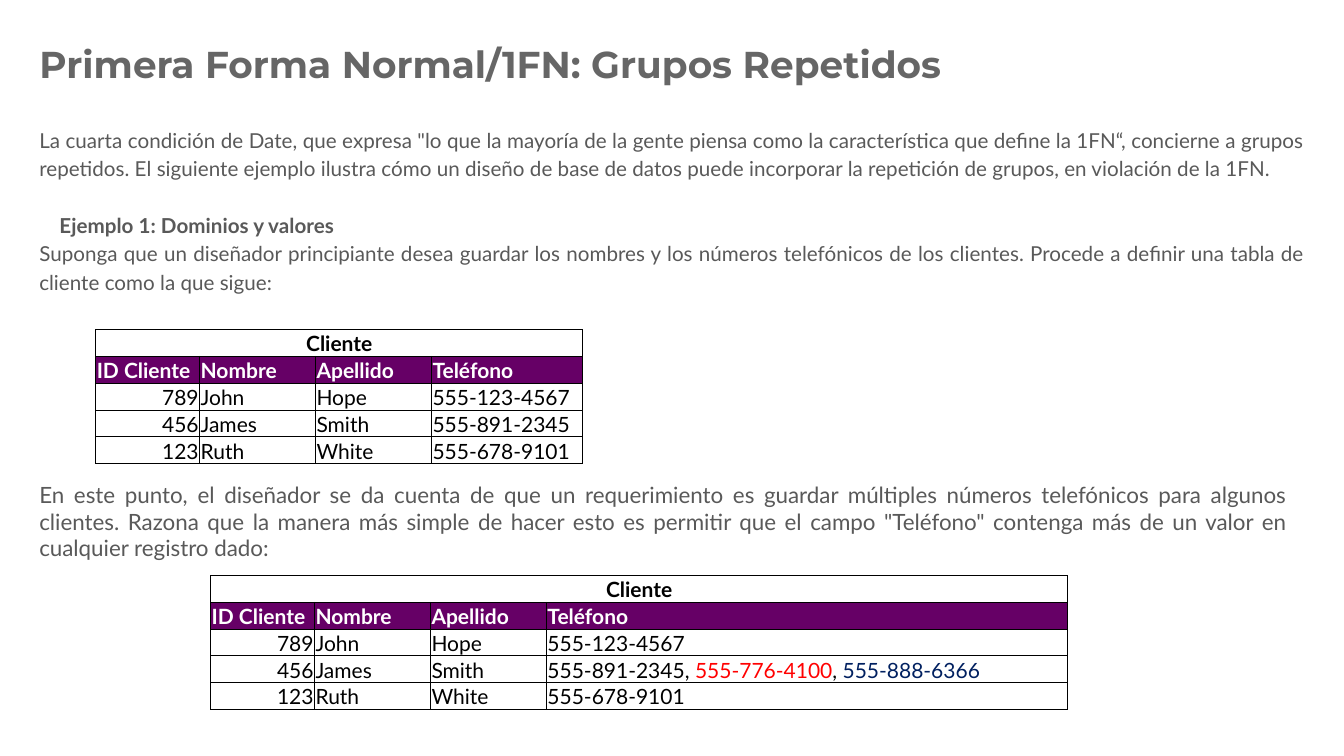
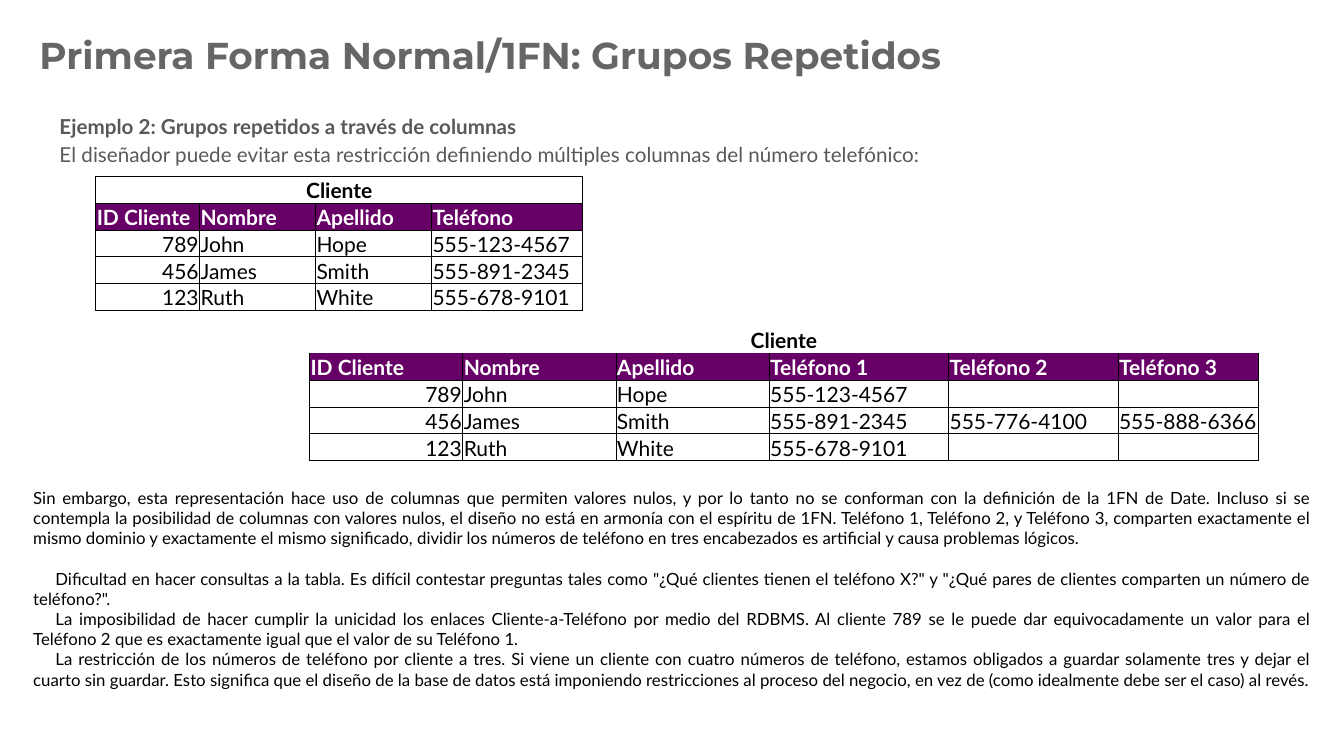
"""Builds two slides on first normal form and repeated groups."""
from dataclasses import dataclass

from lxml.etree import SubElement
from pptx import Presentation
from pptx.dml.color import RGBColor
from pptx.enum.shapes import MSO_SHAPE
from pptx.enum.text import MSO_ANCHOR, MSO_AUTO_SIZE, PP_ALIGN
from pptx.oxml.ns import qn
from pptx.util import Inches, Pt


@dataclass(frozen=True)
class Theme:
    """Colours, fonts and type sizes of the deck."""
    title_color: str = "666666"
    body_color: str = "595959"
    black: str = "000000"
    white: str = "FFFFFF"
    header_fill: str = "660066"
    red: str = "FF0000"
    navy: str = "002060"
    title_font: str = "Montserrat"
    body_font: str = "Lato"
    title_size: float = 26.7
    body_size: float = 14.7
    comment_size: float = 16
    table_size: float = 15
    note_size: float = 12
    border_width: float = 0.75


T = Theme()
TITLE = "Primera Forma Normal/1FN: Grupos Repetidos"
COLUMNS = ["ID Cliente", "Nombre", "Apellido", "Teléfono"]
CLIENTS = [["789", "John", "Hope", "555-123-4567"],
           ["456", "James", "Smith", "555-891-2345"],
           ["123", "Ruth", "White", "555-678-9101"]]
BASE_WIDTHS = [1.03, 1.15, 1.15]
ROW_HEIGHT = 0.266
ITEM_INDENT = 0.2


def write_text(tf, text, size=T.body_size, color=T.body_color, font=T.body_font,
               bold=False, align=PP_ALIGN.LEFT, spacing=1.0, before=0,
               margin=0, first_line=0):
    """Add one paragraph; text is a string or a list of (string, colour)."""
    fresh = len(tf.paragraphs) == 1 and not tf.paragraphs[0].runs
    p = tf.paragraphs[0] if fresh else tf.add_paragraph()
    p.alignment, p.line_spacing = align, spacing
    p.space_before, p.space_after = Pt(before), Pt(0)
    pPr = p._p.get_or_add_pPr()
    pPr.set("marL", str(Inches(margin)))
    pPr.set("indent", str(Inches(first_line)))
    if not text:
        SubElement(p._p, qn("a:endParaRPr"), sz=str(int(size * 100)))
        return
    for part, part_color in [(text, color)] if isinstance(text, str) else text:
        r = p.add_run()
        r.text = part
        r.font.name, r.font.size, r.font.bold = font, Pt(size), bold
        r.font.color.rgb = RGBColor.from_string(part_color)


def set_frame(tf, inset_x, inset_y, anchor=MSO_ANCHOR.TOP):
    """Set the wrapping, insets and anchor of a text frame."""
    tf.word_wrap, tf.auto_size = True, MSO_AUTO_SIZE.NONE
    tf.margin_left = tf.margin_right = Inches(inset_x)
    tf.margin_top = tf.margin_bottom = Inches(inset_y)
    tf.vertical_anchor = anchor


def add_title_slide(prs, top):
    """Add a title-only slide with its formatted title."""
    s = prs.slides.add_slide(prs.slide_layouts[5])
    sp = s.shapes.title
    sp.left, sp.top = Inches(0.26), Inches(top)
    sp.width, sp.height = Inches(12.81), Inches(0.6)
    set_frame(sp.text_frame, 0.13, 0.13, MSO_ANCHOR.MIDDLE)
    write_text(sp.text_frame, TITLE, size=T.title_size, color=T.title_color,
               font=T.title_font, bold=True)
    return s


def add_text(s, left, top, width, height, inset_y=0.13):
    """Add an empty text box and return its frame."""
    sp = s.shapes.add_textbox(Inches(left), Inches(top), Inches(width), Inches(height))
    set_frame(sp.text_frame, 0.13, inset_y)
    return sp.text_frame


def add_panel(s, left, top, width, height):
    """Add a white rectangle and return its text frame."""
    sp = s.shapes.add_shape(MSO_SHAPE.RECTANGLE, Inches(left), Inches(top),
                            Inches(width), Inches(height))
    sp.shadow.inherit = False
    sp.fill.solid()
    sp.fill.fore_color.rgb = RGBColor.from_string(T.white)
    sp.line.fill.background()
    set_frame(sp.text_frame, 0.13, 0.07)
    return sp.text_frame


def set_borders(cell, sides):
    """Draw the named sides of a cell and hide the others."""
    tcPr = cell._tc.get_or_add_tcPr()
    for side in "LRTB":
        ln = SubElement(tcPr, qn(f"a:ln{side}"), w=str(Pt(T.border_width)))
        if side in sides:
            fill = SubElement(ln, qn("a:solidFill"))
            SubElement(fill, qn("a:srgbClr"), val=T.black)
        else:
            SubElement(ln, qn("a:noFill"))


def format_cell(cell, text, row, col, sides):
    """Fill, border and write one cell according to its row and column."""
    set_borders(cell, sides)
    cell.margin_left = cell.margin_right = cell.margin_top = Inches(0.01)
    cell.margin_bottom = 0
    cell.vertical_anchor = MSO_ANCHOR.BOTTOM
    if row < 2:
        cell.fill.solid()
        cell.fill.fore_color.rgb = RGBColor.from_string((T.white, T.header_fill)[row])
    else:
        cell.fill.background()
    align = PP_ALIGN.LEFT
    if row == 0:
        align = PP_ALIGN.CENTER
    elif row > 1 and col == 0:
        align = PP_ALIGN.RIGHT
    write_text(cell.text_frame, text, size=T.table_size, bold=row < 2, align=align,
               color=T.white if row == 1 else T.black)


def add_client_table(s, left, top, widths, columns=COLUMNS, clients=CLIENTS,
                     boxed_title=True):
    """Add a client table with a merged title row and a header row."""
    rows = [["Cliente"] + [""] * (len(columns) - 1), columns, *clients]
    frame = s.shapes.add_table(len(rows), len(columns), Inches(left), Inches(top),
                               Inches(sum(widths)), Inches(ROW_HEIGHT * len(rows)))
    table = frame.table
    table.first_row = table.horz_banding = False
    for col, width in zip(table.columns, widths):
        col.width = Inches(width)
    open_sides = {0: "", 1: "LRB"}
    for i, values in enumerate(rows):
        table.rows[i].height = Inches(ROW_HEIGHT)
        sides = "LRTB" if boxed_title else open_sides.get(i, "LRTB")
        for j, value in enumerate(values):
            format_cell(table.cell(i, j), value, i, j, sides)
    table.cell(0, 0).merge(table.cell(0, len(columns) - 1))


def build_domains(prs):
    """Build the slide on domains and values."""
    s = add_title_slide(prs, 0.33)
    tf = add_text(s, 0.26, 1.1, 12.81, 2.18)
    write_text(tf, 'La cuarta condición de Date, que expresa "lo que la mayoría de la gente '
               "piensa como la característica que define la 1FN“, concierne a grupos "
               "repetidos. El siguiente ejemplo ilustra cómo un diseño de base de datos puede "
               "incorporar la repetición de grupos, en violación de la 1FN.",
               align=PP_ALIGN.JUSTIFY, spacing=1.15)
    write_text(tf, "Ejemplo 1: Dominios y valores", bold=True, spacing=1.15,
               before=20.3, margin=ITEM_INDENT)
    write_text(tf, "Suponga que un diseñador principiante desea guardar los nombres y los "
               "números telefónicos de los clientes. Procede a definir una tabla de cliente "
               "como la que sigue:", align=PP_ALIGN.JUSTIFY, spacing=1.15)
    add_client_table(s, 0.95, 3.27, BASE_WIDTHS + [1.5])
    tf = add_text(s, 0.26, 4.7, 12.64, 0.94, inset_y=0.07)
    write_text(tf, "En este punto, el diseñador se da cuenta de que un requerimiento es "
               "guardar múltiples números telefónicos para algunos clientes. Razona que la "
               "manera más simple de hacer esto es permitir que el campo \"Teléfono\" "
               "contenga más de un valor en cualquier registro dado:",
               size=T.comment_size, align=PP_ALIGN.JUSTIFY)
    phones = [("555-891-2345, ", T.black), ("555-776-4100", T.red),
              (", ", T.black), ("555-888-6366", T.navy)]
    john, james, ruth = CLIENTS
    add_client_table(s, 2.09, 5.71, BASE_WIDTHS + [5.17],
                     clients=[john, james[:3] + [phones], ruth])


def build_columns(prs):
    """Build the slide on groups repeated across columns."""
    s = add_title_slide(prs, 0.24)
    tf = add_text(s, 0.26, 0.96, 12.81, 0.94)
    write_text(tf, "Ejemplo 2: Grupos repetidos a través de columnas", bold=True,
               spacing=1.15, margin=ITEM_INDENT)
    write_text(tf, "El diseñador puede evitar esta restricción definiendo múltiples columnas "
               "del número telefónico:", align=PP_ALIGN.JUSTIFY, spacing=1.15,
               margin=ITEM_INDENT)
    add_client_table(s, 0.95, 1.75, BASE_WIDTHS + [1.5])
    extra = [["", ""], ["555-776-4100", "555-888-6366"], ["", ""]]
    add_client_table(s, 3.07, 3.24, [1.52] * 3 + [1.78, 1.68, 1.39],
                     columns=COLUMNS[:3] + [f"Teléfono {n}" for n in (1, 2, 3)],
                     clients=[c + e for c, e in zip(CLIENTS, extra)], boxed_title=False)
    tf = add_panel(s, 0.2, 4.77, 12.94, 2.56)
    note = dict(size=T.note_size, color=T.black, align=PP_ALIGN.JUSTIFY)
    write_text(tf, "Sin embargo, esta representación hace uso de columnas que permiten valores "
               "nulos, y por lo tanto no se conforman con la definición de la 1FN de Date. "
               "Incluso si se contempla la posibilidad de columnas con valores nulos, el "
               "diseño no está en armonía con el espíritu de 1FN. Teléfono 1, Teléfono 2, y "
               "Teléfono 3, comparten exactamente el mismo dominio y exactamente el mismo "
               "significado, dividir los números de teléfono en tres encabezados es "
               "artificial y causa problemas lógicos.", **note)
    problems = [
        "Dificultad en hacer consultas a la tabla. Es difícil contestar preguntas tales como "
        '"¿Qué clientes tienen el teléfono X?" y "¿Qué pares de clientes comparten un número '
        'de teléfono?".',
        "La imposibilidad de hacer cumplir la unicidad los enlaces Cliente-a-Teléfono por "
        "medio del RDBMS. Al cliente 789 se le puede dar equivocadamente un valor para el "
        "Teléfono 2 que es exactamente igual que el valor de su Teléfono 1.",
        "La restricción de los números de teléfono por cliente a tres. Si viene un cliente "
        "con cuatro números de teléfono, estamos obligados a guardar solamente tres y dejar "
        "el cuarto sin guardar. Esto significa que el diseño de la base de datos está "
        "imponiendo restricciones al proceso del negocio, en vez de (como idealmente debe "
        "ser el caso) al revés."]
    for i, problem in enumerate(problems):
        write_text(tf, problem, before=0 if i else 14.4, first_line=0.22, **note)


def main():
    """Build and save the deck."""
    prs = Presentation()
    prs.slide_width, prs.slide_height = Inches(13.33), Inches(7.5)
    build_domains(prs)
    build_columns(prs)
    prs.save("out.pptx")


if __name__ == "__main__":
    main()
